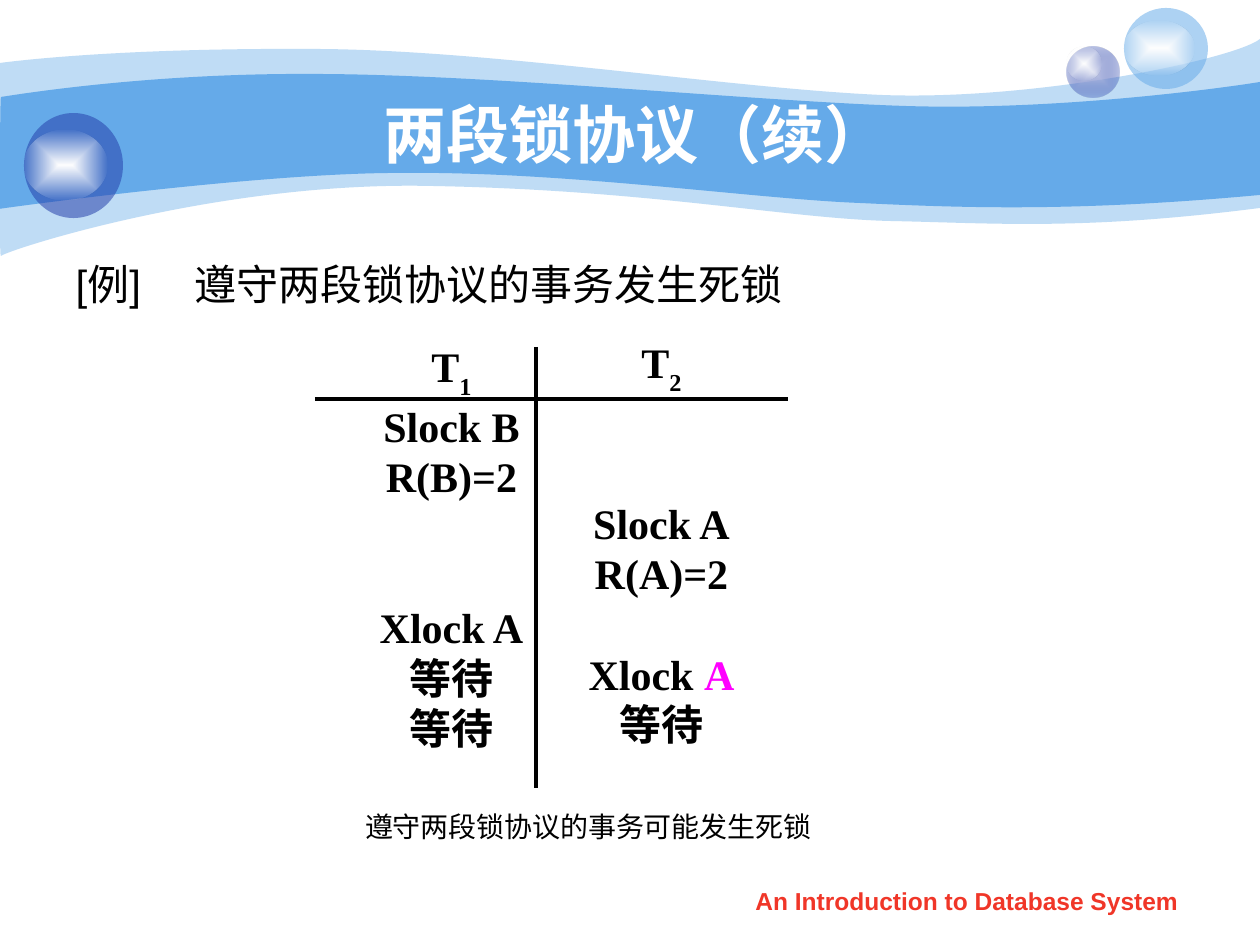
from dataclasses import dataclass
from typing import NamedTuple

from lxml import etree
from pptx import Presentation
from pptx import util as u
from pptx.dml.color import RGBColor
from pptx.enum import shapes, text
from pptx.oxml import ns

PX = 914400 // 126
PITCH = 28.8  # points from one schedule row to the next


@dataclass(frozen=True)
class Theme:
    """Colours, fonts and type sizes."""
    sky: str = "65AAE9"
    navy: str = "233DA9"
    mist: str = "C6CCE8"
    white: str = "FFFFFF"
    ink: str = "000000"
    pink: str = "FF00FF"
    red: str = "F03628"
    sans: str = "Arial"
    serif: str = "Times New Roman"
    head: int = 36
    main: int = 24
    note: int = 16
    foot: int = 14


T = Theme()


class Box(NamedTuple):
    """A frame in pixels."""
    x: int
    y: int
    w: int
    h: int


class Stop(NamedTuple):
    """A colour with its opacity in percent."""
    rgb: str
    alpha: int = 100


class Wave(NamedTuple):
    """A closed outline of cubic curves (two controls and an end each)."""
    start: tuple
    curves: list
    fill: Stop


class Ball(NamedTuple):
    """An ellipse with a flat fill or a gradient from centre to rim."""
    box: Box
    stops: list


class Row(NamedTuple):
    """A schedule line after some empty rows, with a subscript or accent."""
    word: str
    gap: int = 0
    sub: str = ""
    hot: str = ""


class Col(NamedTuple):
    """The rows of one transaction."""
    box: Box
    rows: list


WAVES = [
    Wave((0, 63), [
        (30, 59, 135, 48, 311, 49), (486, 49, 725, 88, 881, 95),
        (1036, 101, 1235, 59, 1260, 39), (1260, 39, 1260, 208, 1260, 208),
        (1081, 231, 992, 223, 888, 221), (784, 218, 649, 190, 432, 186),
        (217, 181, 5, 251, 1, 256), (-1, 262, 0, 95, 0, 63)], Stop(T.sky, 41)),
    Wave((1, 97), [
        (3, 97, 139, 73, 312, 74), (486, 74, 750, 101, 905, 106),
        (1060, 111, 1230, 87, 1260, 82), (1260, 82, 1260, 195, 1260, 195),
        (1075, 212, 964, 208, 859, 203), (755, 199, 563, 171, 399, 173),
        (256, 173, -3, 209, -1, 209), (0, 209, 0, 97, 1, 97)], Stop(T.sky)),
]
GLOW = [Stop(T.white), Stop(T.white, 0)]
BALLS = [
    Ball(Box(1067, 47, 53, 51), [Stop(T.mist), Stop(T.navy, 31)]),
    Ball(Box(1067, 47, 35, 34), GLOW),
    Ball(Box(1124, 8, 84, 81), [Stop(T.sky, 53)]),
    Ball(Box(1124, 21, 70, 54), GLOW),
    Ball(Box(24, 113, 99, 105), [Stop(T.navy, 53)]),
    Ball(Box(24, 130, 83, 70), GLOW),
]
COLS = [
    Col(Box(367, 350, 169, 400), [
        Row("T", sub="1"), Row("Slock B"), Row("R(B)=2"),
        Row("Xlock A", gap=2), Row("等待"), Row("等待")]),
    Col(Box(577, 346, 169, 400), [
        Row("T", sub="2"), Row("Slock A", gap=2), Row("R(A)=2"),
        Row("Xlock ", gap=1, hot="A"), Row("等待")]),
]
RULES = [(315, 399, 788, 399), (536, 347, 536, 788)]


def node(top, tag: str, **attrs):
    """Append a DrawingML element."""
    return etree.SubElement(top, ns.qn("a:" + tag), attrs)


def paint(shape, stops: list) -> None:
    """Fill a shape with one colour or a rectangular gradient, without line."""
    shape.shadow.inherit = False
    shape.line.fill.background()
    prop = shape.element.spPr
    if len(stops) == 1:
        fill = node(prop, "solidFill")
        tops = [fill]
    else:
        fill = node(prop, "gradFill", rotWithShape="1")
        bag = node(fill, "gsLst")
        tops = [node(bag, "gs", pos=str(100000 * i)) for i in range(len(stops))]
        path = node(fill, "path", path="rect")
        node(path, "fillToRect", l="50000", t="50000", r="50000", b="50000")
    for top, stop in zip(tops, stops):
        tint = node(top, "srgbClr", val=stop.rgb)
        if stop.alpha < 100:
            node(tint, "alpha", val=str(stop.alpha * 1000))
    prop.find(ns.qn("a:ln")).addprevious(fill)


def trace(slide, wave: Wave) -> None:
    """Draw a wave, joining each three outline points into a cubic curve."""
    pen = slide.shapes.build_freeform(*wave.start, scale=float(PX))
    pen.add_line_segments(
        [pair for c in wave.curves for pair in zip(c[::2], c[1::2])])
    shape = pen.convert_to_shape()
    legs = list(shape.element.spPr.iter(ns.qn("a:lnTo")))
    for i in range(0, len(wave.curves) * 3, 3):
        curve = etree.Element(ns.qn("a:cubicBezTo"))
        legs[i].addprevious(curve)
        for leg in legs[i:i + 3]:
            curve.append(leg[0])
            leg.getparent().remove(leg)
    paint(shape, [wave.fill])


def write(para, words: str, *, size: int, font: str = T.sans, rgb: str = T.ink,
          bold: bool = False, base: int = 0) -> None:
    """Add a formatted run to a paragraph."""
    run = para.add_run()
    run.text = words
    run.font.size, run.font.name, run.font.bold = u.Pt(size), font, bold
    run.font.color.rgb = RGBColor.from_string(rgb)
    if base:
        run.font._element.set("baseline", str(base * 1000))


def place(shape, box: Box, *, wrap: bool = True, mid: bool = True):
    """Set a text shape's frame and return its first paragraph."""
    shape.left, shape.top, shape.width, shape.height = (v * PX for v in box)
    frame = shape.text_frame
    frame.word_wrap, frame.auto_size = wrap, text.MSO_AUTO_SIZE.NONE
    para = frame.paragraphs[0]
    para.alignment = text.PP_ALIGN.CENTER if mid else text.PP_ALIGN.LEFT
    return para


def label(slide, box: Box, **frame):
    """Add a text box and return its first paragraph and the box."""
    shape = slide.shapes.add_textbox(0, 0, PX, PX)
    return place(shape, box, **frame), shape


def list_rows(slide, col: Col) -> None:
    """Write one transaction's column at a fixed row pitch."""
    para, shape = label(slide, col.box, wrap=False)
    frame = shape.text_frame
    frame.margin_top = frame.margin_bottom = 0
    look = dict(size=T.main, font=T.serif, bold=True)
    for i, row in enumerate(col.rows):
        para = frame.add_paragraph() if i else para
        para.alignment = text.PP_ALIGN.CENTER
        para.line_spacing = u.Pt(PITCH)
        para.space_before = u.Pt(PITCH * row.gap)
        write(para, row.word, **look)
        if row.sub:
            write(para, row.sub, base=-30, **look)
        if row.hot:
            write(para, row.hot, rgb=T.pink, **look)


def rule(slide, ends: tuple) -> None:
    """Draw a straight black rule."""
    line = slide.shapes.add_connector(
        shapes.MSO_CONNECTOR.STRAIGHT, *(v * PX for v in ends))
    line.line.color.rgb = RGBColor.from_string(T.ink)
    line.line.width = u.Pt(2.25)
    node(line.element.spPr, "effectLst")


def main() -> None:
    """Build and save the slide."""
    deck = Presentation()
    deck.slide_width, deck.slide_height = u.Inches(10), u.Inches(7.5)
    slide = deck.slides.add_slide(deck.slide_layouts[1])
    head, body = slide.placeholders
    for wave in WAVES:
        trace(slide, wave)
    for ball in BALLS:
        paint(slide.shapes.add_shape(
            shapes.MSO_SHAPE.OVAL, *(v * PX for v in ball.box)), ball.stops)
    for item in (head, body):
        slide.shapes.element.append(item.element)

    para = place(head, Box(127, 94, 1018, 78))
    head.text_frame.vertical_anchor = text.MSO_ANCHOR.MIDDLE
    write(para, "两段锁协议（续）", size=T.head, rgb=T.white, bold=True)
    para = place(body, Box(63, 252, 1134, 620), mid=False)
    para.space_before = u.Pt(6)
    prop = para._p.get_or_add_pPr()
    prop.set("marL", str(119 * PX))
    prop.set("indent", str(-119 * PX))
    node(prop, "buNone")
    write(para, "[例]\t遵守两段锁协议的事务发生死锁", size=T.main)

    for col in COLS:
        list_rows(slide, col)
    for ends in RULES:
        rule(slide, ends)
    para, _ = label(slide, Box(302, 803, 573, 50), wrap=False)
    write(para, "遵守两段锁协议的事务可能发生死锁", size=T.note, font=T.serif)
    para, _ = label(slide, Box(719, 880, 496, 44))
    write(para, "An Introduction to Database System", size=T.foot, rgb=T.red, bold=True)
    deck.save("out.pptx")


main()
